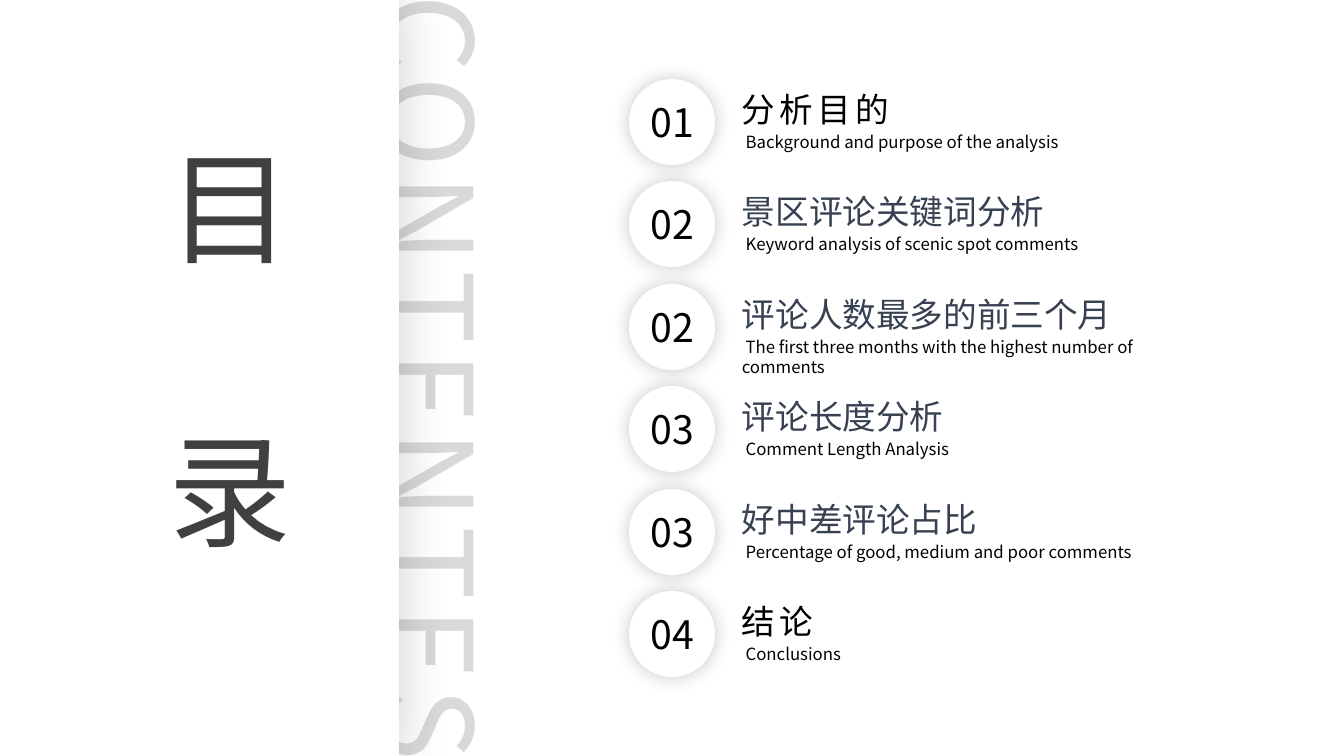
from dataclasses import dataclass
from lxml import etree
from pptx import Presentation
from pptx.dml.color import RGBColor
from pptx.enum.shapes import MSO_SHAPE
from pptx.enum.text import MSO_AUTO_SIZE, PP_ALIGN
from pptx.oxml.ns import qn
from pptx.util import Emu, Pt

RECT, OVAL = MSO_SHAPE.RECTANGLE, MSO_SHAPE.OVAL
LEFT, CENTER = PP_ALIGN.LEFT, PP_ALIGN.CENTER
GROW = MSO_AUTO_SIZE.SHAPE_TO_FIT_TEXT
SCALE = 914400 / 100.8


@dataclass(frozen=True)
class Theme:
    font: str = "Noto Sans CJK SC"
    plain: str = "Arial"
    white: str = "FFFFFF"
    black: str = "000000"
    pale: str = "D9D9D9"
    dark: str = "404040"
    slate: str = "374151"
    huge: int = 88
    number: int = 28
    title: int = 24
    small: int = 12


def px(n):
    return Emu(round(n * SCALE))


class Painter:
    def __init__(self, slide, theme):
        self.slide = slide
        self.theme = theme

    def shape(self, kind, box, alpha, blur, dist=0):
        """Draw a white shape with a soft shadow; blur and dist in points."""
        item = self.slide.shapes.add_shape(kind, *map(px, box))
        item.fill.solid()
        item.fill.fore_color.rgb = RGBColor.from_string(self.theme.white)
        item.line.fill.background()
        item.shadow.inherit = False
        effects = item.element.spPr.find(qn("a:effectLst"))
        shade = etree.SubElement(effects, qn("a:outerShdw"), blurRad=str(Pt(blur)),
                                 dist=str(Pt(dist)), dir="0", algn="ctr", rotWithShape="0")
        tint = etree.SubElement(shade, qn("a:srgbClr"), val=self.theme.black)
        etree.SubElement(tint, qn("a:alpha"), val=str(alpha * 1000))

    def text(self, words, box, size, color, align=LEFT, face=None, gap=0, turn=0):
        """Write one paragraph; gap is the letter spacing in points."""
        item = self.slide.shapes.add_textbox(*map(px, box))
        item.rotation = turn
        frame = item.text_frame
        frame.word_wrap = True
        frame.auto_size = GROW
        para = frame.paragraphs[0]
        para.text = words
        para.alignment = align
        font = para.font
        font.size = Pt(size)
        font.color.rgb = RGBColor.from_string(color)
        font.name = face or self.theme.font
        props = para._p.pPr.find(qn("a:defRPr"))
        props.find(qn("a:latin")).addnext(
            etree.Element(qn("a:ea"), typeface=self.theme.font))
        if gap:
            props.set("spc", str(gap * 100))


deck = Presentation()
deck.slide_width, deck.slide_height = px(1344), px(756)
theme = Theme()
page = Painter(deck.slides.add_slide(deck.slide_layouts[6]), theme)

# Side panel over the vertical word
page.text("CONTENTES", (-89, 298, 1042, 159), theme.huge, theme.pale,
          CENTER, gap=5, turn=90)
page.shape(RECT, (0, 0, 399, 756), alpha=16, blur=36, dist=3)
for sign, top in (("目", 126), ("录", 409)):
    page.text(sign, (159, top, 82, 159), theme.huge, theme.dark, CENTER)

# Agenda: number, title, caption
AGENDA = [
    ("01", "分析目的", "Background and purpose of the analysis"),
    ("02", "景区评论关键词分析", "Keyword analysis of scenic spot comments"),
    ("02", "评论人数最多的前三个月",
     "The first three months with the highest number of comments"),
    ("03", "评论长度分析", "Comment Length Analysis"),
    ("03", "好中差评论占比", "Percentage of good, medium and poor comments"),
    ("04", "结论", "Conclusions"),
]
FIRST, PITCH = 79, 102.4
WIDE = dict(color=theme.black, gap=3)
SLATE = dict(color=theme.slate, face=theme.plain)

for row, (number, title, caption) in enumerate(AGENDA):
    top = round(FIRST + row * PITCH)
    look = WIDE if row in (0, len(AGENDA) - 1) else SLATE
    page.shape(OVAL, (629, top, 86, 86), alpha=22, blur=14)
    page.text(number, (621, top + 14, 103, 57), theme.number, theme.black, CENTER)
    page.text(title, (732, top + 5, 424, 50), theme.title, **look)
    page.text(f" {caption} ", (732, top + 48, 462, 30), theme.small, theme.black)

deck.save("out.pptx")
